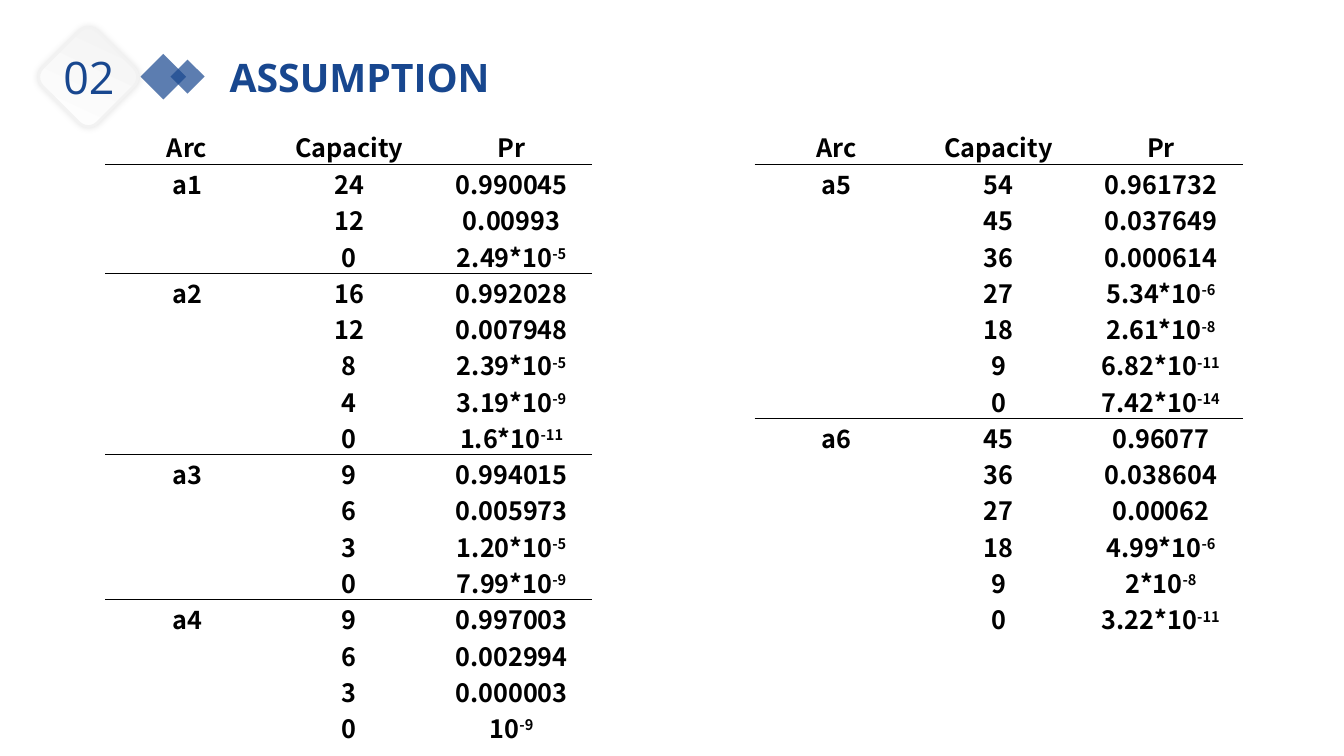
from lxml import etree
from pptx import Presentation
from pptx import util as u
from pptx.dml.color import RGBColor
from pptx.enum import shapes, text
from pptx.oxml import ns

PX = 9144  # EMU per px, 100 px to the inch
COLORS = {"blue": "18478F", "white": "FFFFFF", "grey": "F2F2F2", "black": "000000"}
HEADER = ("Arc", "Capacity", "Pr")
COLUMN_WIDTH, HEADER_HEIGHT, ROW_HEIGHT, ROW_COUNT = 161, 37, 36, 17

# Each arc lists its capacities with their probabilities; ^ starts an exponent.
LEFT_ARCS = {
    "a1": (("24", "0.990045"), ("12", "0.00993"), ("0", "2.49*10^-5")),
    "a2": (("16", "0.992028"), ("12", "0.007948"), ("8", "2.39*10^-5"),
           ("4", "3.19*10^-9"), ("0", "1.6*10^-11")),
    "a3": (("9", "0.994015"), ("6", "0.005973"), ("3", "1.20*10^-5"),
           ("0", "7.99*10^-9")),
    "a4": (("9", "0.997003"), ("6", "0.002994"), ("3", "0.000003"),
           ("0", "10^-9")),
}
RIGHT_ARCS = {
    "a5": (("54", "0.961732"), ("45", "0.037649"), ("36", "0.000614"),
           ("27", "5.34*10^-6"), ("18", "2.61*10^-8"), ("9", "6.82*10^-11"),
           ("0", "7.42*10^-14")),
    "a6": (("45", "0.96077"), ("36", "0.038604"), ("27", "0.00062"),
           ("18", "4.99*10^-6"), ("9", "2*10^-8"), ("0", "3.22*10^-11")),
}


def rgb(name):
    return RGBColor.from_string(COLORS[name])


def px(*lengths):
    return [u.Emu(length * PX) for length in lengths]


def add_color(parent, name, alpha=100):
    color = etree.SubElement(parent, ns.qn("a:srgbClr"), val=COLORS[name])
    etree.SubElement(color, ns.qn("a:alpha"), val=str(alpha * 1000))


def set_all(target, values):
    for name, value in values.items():
        setattr(target, name, value)


class SlideBuilder:
    heading_font = "Open Sans"
    table_font = "Noto Sans CJK TC"

    def __init__(self, slide):
        self.slide = slide

    def add_run(self, paragraph, words, font, size, color, bold=False):
        run = paragraph.add_run()
        run.text = words
        set_all(run.font, {"name": font, "size": u.Pt(size), "bold": bold})
        run.font.color.rgb = rgb(color)
        properties = run.font._element
        etree.SubElement(properties, ns.qn("a:ea"), typeface=font)
        return properties

    def diamond(self, left, top, side):
        shape = self.slide.shapes.add_shape(
            shapes.MSO_SHAPE.RECTANGLE, *px(left, top, side, side))
        shape.shadow.inherit = False
        shape.rotation = 225
        shape.fill.solid()
        shape.fill.fore_color.rgb = rgb("blue")
        shape.line.fill.background()
        color = shape.element.spPr.find(f"{ns.qn('a:solidFill')}/{ns.qn('a:srgbClr')}")
        etree.SubElement(color, ns.qn("a:alpha"), val="70000")

    def badge(self, left, top, side):
        """Rounded, softly shadowed tile standing on its corner."""
        shape = self.slide.shapes.add_shape(
            shapes.MSO_SHAPE.ROUNDED_RECTANGLE, *px(left, top, side, side))
        shape.shadow.inherit = False
        shape.rotation = 45
        shape.fill.gradient()
        shape.fill.gradient_angle = 110
        for stop, color in zip(shape.fill.gradient_stops, ("white", "grey")):
            stop.color.rgb = rgb(color)
        shape.line.color.rgb = rgb("grey")
        shape.line.width = u.Pt(2)
        effects = shape.element.spPr.find(ns.qn("a:effectLst"))
        shadow = etree.SubElement(effects, ns.qn("a:outerShdw"),
                                  blurRad=str(u.Pt(5)), dist="0", dir="0")
        add_color(shadow, "black", 11)

    def label(self, words, box, size, bold=False, wrap=True):
        frame = self.slide.shapes.add_textbox(*px(*box)).text_frame
        set_all(frame, {"word_wrap": wrap,
                        "auto_size": text.MSO_AUTO_SIZE.SHAPE_TO_FIT_TEXT,
                        "vertical_anchor": text.MSO_ANCHOR.MIDDLE})
        self.add_run(frame.paragraphs[0], words, self.heading_font, size, "blue", bold)

    def table(self, left, top, columns):
        width = columns * COLUMN_WIDTH
        height = HEADER_HEIGHT + (ROW_COUNT - 1) * ROW_HEIGHT
        table = self.slide.shapes.add_table(
            ROW_COUNT, columns, *px(left, top, width, height)).table
        set_all(table, {"first_row": False, "horz_banding": False})
        for column in table.columns:
            column.width = u.Emu(COLUMN_WIDTH * PX)
        for index, row in enumerate(table.rows):
            row.height = u.Emu((ROW_HEIGHT if index else HEADER_HEIGHT) * PX)
        inset = u.Emu(PX)
        for cell in table.iter_cells():
            set_all(cell, {"margin_left": inset, "margin_right": inset,
                           "margin_top": inset, "margin_bottom": 0,
                           "vertical_anchor": text.MSO_ANCHOR.MIDDLE})
            cell.fill.solid()
            cell.fill.fore_color.rgb = rgb("white")
        return table

    def cell_text(self, cell, words):
        paragraph = cell.text_frame.paragraphs[0]
        paragraph.alignment = text.PP_ALIGN.CENTER
        base, _, exponent = words.partition("^")
        self.add_run(paragraph, base, self.table_font, 18, "black", True)
        if exponent:
            raised = self.add_run(paragraph, exponent, self.table_font, 18, "black", True)
            raised.set("baseline", "30000")

    def cell_border(self, cell, side, points):
        line = etree.Element(ns.qn(f"a:ln{side}"), w=str(u.Pt(points)))
        add_color(etree.SubElement(line, ns.qn("a:solidFill")), "black")
        cell._tc.get_or_add_tcPr().insert(0, line)

    def rule_above(self, table, row, first_column, points):
        for column in range(first_column, first_column + len(HEADER)):
            self.cell_border(table.cell(row - 1, column), "B", points)
            self.cell_border(table.cell(row, column), "T", points)

    def arc_block(self, table, first_column, arcs):
        """Fill three columns with a header and one ruled group per arc."""
        for offset, words in enumerate(HEADER):
            self.cell_text(table.cell(0, first_column + offset), words)
        row = 1
        # Bottom rules go in after top rules, so lnT must stay ahead of lnB.
        starts = []
        for arc, states in arcs.items():
            starts.append(row)
            self.cell_text(table.cell(row, first_column), arc)
            for state in states:
                for offset, words in enumerate(state, 1):
                    self.cell_text(table.cell(row, first_column + offset), words)
                row += 1
        for start in reversed(starts):
            self.rule_above(table, start, first_column, 1 if start == 1 else 0.5)


def main():
    presentation = Presentation()
    set_all(presentation, dict(zip(("slide_width", "slide_height"), px(1333, 750))))
    builder = SlideBuilder(presentation.slides.add_slide(presentation.slide_layouts[6]))

    builder.diamond(146, 60, 32)
    builder.diamond(174, 64, 24)
    builder.label("ASSUMPTION", (218, 48, 423, 57), 28, bold=True)
    builder.badge(49, 38, 77)
    builder.label("02", (53, 44, 71, 64), 32, wrap=False)

    table = builder.table(105, 126, 7)
    builder.arc_block(table, 0, LEFT_ARCS)
    builder.arc_block(table, 4, RIGHT_ARCS)
    presentation.save("out.pptx")


if __name__ == "__main__":
    main()
